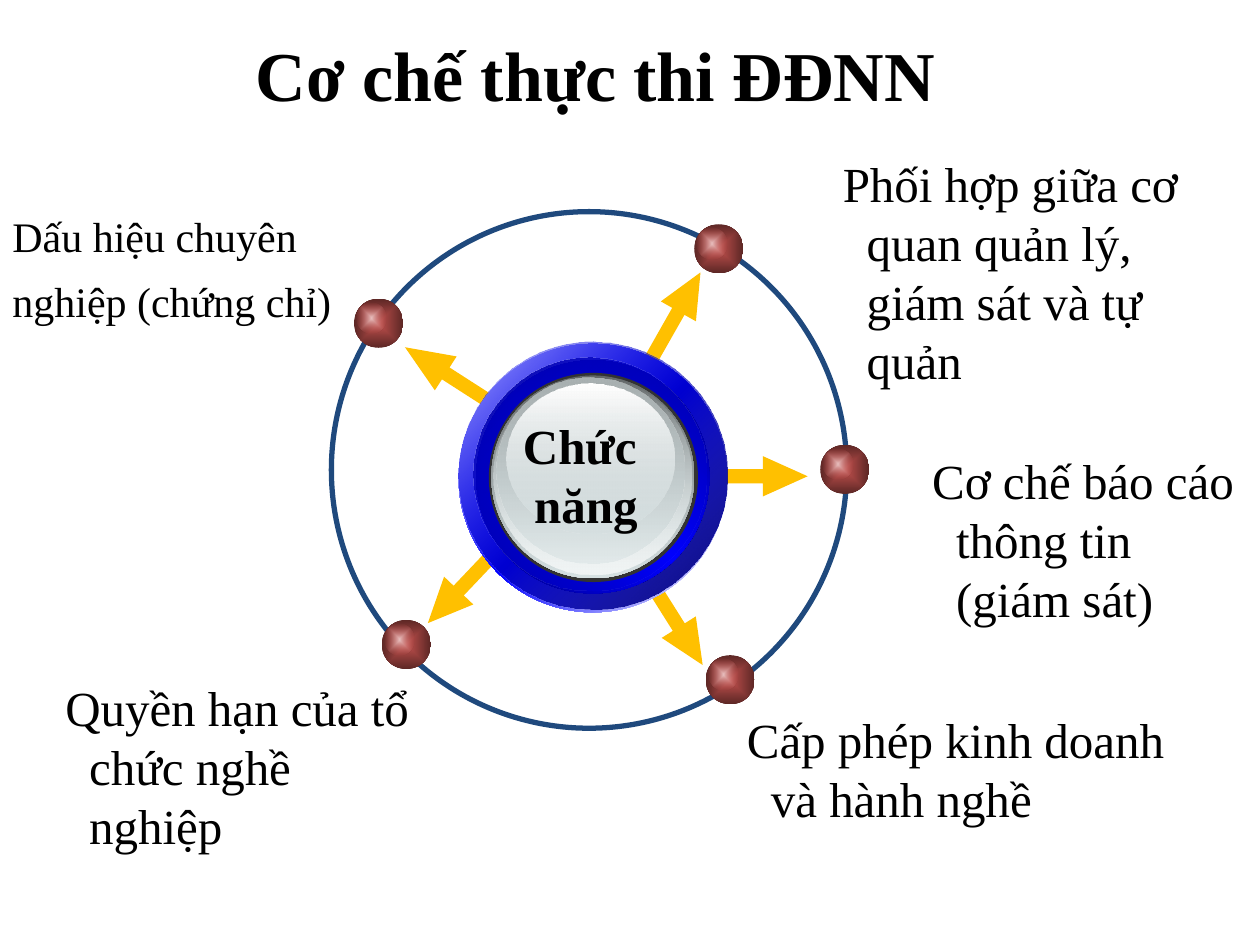
from dataclasses import dataclass
from typing import NamedTuple

from lxml.etree import SubElement
from pptx import Presentation
from pptx.dml.color import RGBColor
from pptx.enum.shapes import MSO_SHAPE
from pptx.enum.text import MSO_ANCHOR, MSO_AUTO_SIZE, PP_ALIGN
from pptx.oxml.ns import qn
from pptx.util import Emu, Pt

PX = 9144  # 100 px to the inch


@dataclass(frozen=True)
class Theme:
    font: str = "Times New Roman"
    ink: str = "000000"
    arrow: str = "FFC000"
    ring: str = "1F497D"
    rim: str = "333333"
    title: int = 40
    label: int = 28
    small: int = 24


THEME = Theme()


class Box(NamedTuple):
    x: int
    y: int
    w: int
    h: int


class Stop(NamedTuple):
    at: int
    color: str
    alpha: int = 100


class Blend(NamedTuple):
    """A gradient; with no angle it spreads from the middle."""
    stops: tuple[Stop, ...]
    angle: int | None = None


class Arrow(NamedTuple):
    box: Box
    turn: float


class Layer(NamedTuple):
    box: Box
    fill: Blend | str


class Label(NamedTuple):
    box: Box
    words: str
    size: int = THEME.label
    hang: int = 19
    line: float = 1.0


BALL = Blend((Stop(0, "C0504D"), Stop(100, "5D2725")))
GLOSS = Blend((Stop(0, "E8BFBE"), Stop(100, "C0504D", 0)))

ARROWS = [
    Arrow(Box(491, 238, 87, 32), 299.6),
    Arrow(Box(491, 475, 87, 32), 57.8),
    Arrow(Box(326, 447, 87, 32), 133.5),
    Arrow(Box(554, 362, 87, 32), 0),
    Arrow(Box(314, 285, 94, 32), 212.7),
]
BALLS = [(303, 492), (281, 237), (551, 178), (651, 353), (560, 520)]
DISC = [
    Layer(Box(364, 273, 213, 213),
          Blend((Stop(0, "FFFFFF"), Stop(50, "0000FF"), Stop(100, "FFFFFF")), 45)),
    Layer(Box(364, 271, 213, 213),
          Blend((Stop(0, "0000FF", 32), Stop(100, "000076")), 45)),
    Layer(Box(378, 286, 185, 185),
          Blend((Stop(0, "00008A"), Stop(50, "0000FF"), Stop(100, "00008A")), 315)),
    Layer(Box(376, 284, 185, 185),
          Blend((Stop(0, "0000A2"), Stop(100, "0000FF", 0)), 45)),
]
GLASS = [
    Layer(Box(388, 296, 166, 166), THEME.rim),
    Layer(Box(390, 298, 161, 161),
          Blend((Stop(0, "636869"), Stop(100, "D6E1E2")), 90)),
    Layer(Box(392, 299, 157, 157),
          Blend((Stop(0, "D6E1E2", 0), Stop(100, "F1F5F5")), 90)),
    Layer(Box(394, 300, 149, 147),
          Blend((Stop(0, "AAB2B3"), Stop(100, "D6E1E2", 48)), 90)),
    Layer(Box(402, 304, 133, 119),
          Blend((Stop(0, "FFFFFF"), Stop(100, "D6E1E2", 38)), 90)),
]
LABELS = [
    Label(Box(0, 150, 307, 218), "Dấu hiệu chuyên nghiệp (chứng chỉ)",
          size=THEME.small, hang=0, line=1.3),
    Label(Box(42, 533, 313, 244), "Quyền hạn của tổ chức nghề nghiệp"),
    Label(Box(583, 558, 383, 197), "Cấp phép kinh doanh và hành nghề"),
    Label(Box(730, 353, 271, 197), "Cơ chế báo cáo thông tin (giám sát)"),
    Label(Box(659, 117, 299, 244),
          "Phối hợp giữa cơ quan quản lý, giám sát và tự quản"),
]


def px(*sizes: float) -> list[Emu]:
    return [Emu(round(size * PX)) for size in sizes]


def blend(shape, look: Blend) -> None:
    """Fill a shape with a gradient whose stops may be see-through."""
    grad = SubElement(shape._element.spPr, qn("a:gradFill"), rotWithShape="1")
    shape._element.spPr.find(qn("a:prstGeom")).addnext(grad)
    stops = SubElement(grad, qn("a:gsLst"))
    for stop in look.stops:
        mark = SubElement(stops, qn("a:gs"), pos=str(stop.at * 1000))
        color = SubElement(mark, qn("a:srgbClr"), val=stop.color)
        if stop.alpha < 100:
            SubElement(color, qn("a:alpha"), val=str(stop.alpha * 1000))
    if look.angle is None:
        path = SubElement(grad, qn("a:path"), path="rect")
        SubElement(path, qn("a:fillToRect"), l="50000", t="50000",
                   r="50000", b="50000")
    else:
        SubElement(grad, qn("a:lin"), ang=str(look.angle * 60000), scaled="1")


def draw(shapes, kind: MSO_SHAPE, box: Box, fill: Blend | str | None = None):
    shape = shapes.add_shape(kind, *px(*box))
    shape.shadow.inherit = False
    shape.line.fill.background()
    if isinstance(fill, Blend):
        blend(shape, fill)
    elif fill:
        shape.fill.solid()
        shape.fill.fore_color.rgb = RGBColor.from_string(fill)
    else:
        shape.fill.background()
    return shape


def stack(shapes, layers: list[Layer]) -> None:
    for layer in layers:
        draw(shapes, MSO_SHAPE.OVAL, layer.box, layer.fill)


def ball(shapes, x: int, y: int) -> None:
    stack(shapes.add_group_shape().shapes, [
        Layer(Box(x, y, 39, 39), BALL),
        Layer(Box(x + 2, y + 3, 24, 25), GLOSS),
    ])


def arrow(shapes, item: Arrow) -> None:
    shape = draw(shapes, MSO_SHAPE.RIGHT_ARROW, item.box, THEME.arrow)
    shape.adjustments[0] = 0.35
    shape.adjustments[1] = 1.11 * item.box.w / 87
    shape.rotation = item.turn


def text(shape, *lines: str, size: int = THEME.label, bold: bool = False,
         align: PP_ALIGN = PP_ALIGN.LEFT, hang: int = 0, line: float = 1.0,
         wrap: bool = True, inset: Box = Box(10, 5, 10, 5)) -> None:
    """Write one paragraph per line; inset is left, top, right, bottom."""
    frame = shape.text_frame
    frame.auto_size = MSO_AUTO_SIZE.NONE
    frame.word_wrap = wrap
    frame.vertical_anchor = MSO_ANCHOR.TOP
    (frame.margin_left, frame.margin_top,
     frame.margin_right, frame.margin_bottom) = px(*inset)
    frame.text = "\n".join(lines)
    for para in frame.paragraphs:
        para.alignment = align
        para.line_spacing = line
        if hang:
            props = para._p.get_or_add_pPr()
            props.set("marL", str(hang * PX))
            props.set("indent", str(-hang * PX))
        for run in para.runs:
            run.font.name = THEME.font
            run.font.size = Pt(size)
            run.font.bold = bold
            run.font.color.rgb = RGBColor.from_string(THEME.ink)


def main() -> None:
    deck = Presentation()
    deck.slide_width, deck.slide_height = px(1000, 750)
    slide = deck.slides.add_slide(deck.slide_layouts[5])
    shapes = slide.shapes

    title = shapes.title
    title.left, title.top, title.width, title.height = px(70, 25, 822, 125)
    text(title, "Cơ chế thực thi ĐĐNN", size=THEME.title, bold=True,
         align=PP_ALIGN.CENTER, inset=Box(10, 0, 27, 0))

    for item in ARROWS:
        arrow(shapes, item)
    ring = draw(shapes, MSO_SHAPE.OVAL, Box(263, 168, 409, 410))
    ring.line.color.rgb = RGBColor.from_string(THEME.ring)
    ring.line.width = Pt(3)

    ball(shapes, *BALLS[0])
    stack(shapes, DISC)
    stack(shapes.add_group_shape().shapes, GLASS)
    text(shapes.add_textbox(*px(405, 325, 120, 104)), "Chức ", "năng",
         bold=True, align=PP_ALIGN.CENTER, wrap=False)
    for spot in BALLS[1:]:
        ball(shapes, *spot)

    for label in LABELS:
        text(shapes.add_textbox(*px(*label.box)), label.words,
             size=label.size, hang=label.hang, line=label.line)
    deck.save("out.pptx")


if __name__ == "__main__":
    main()
